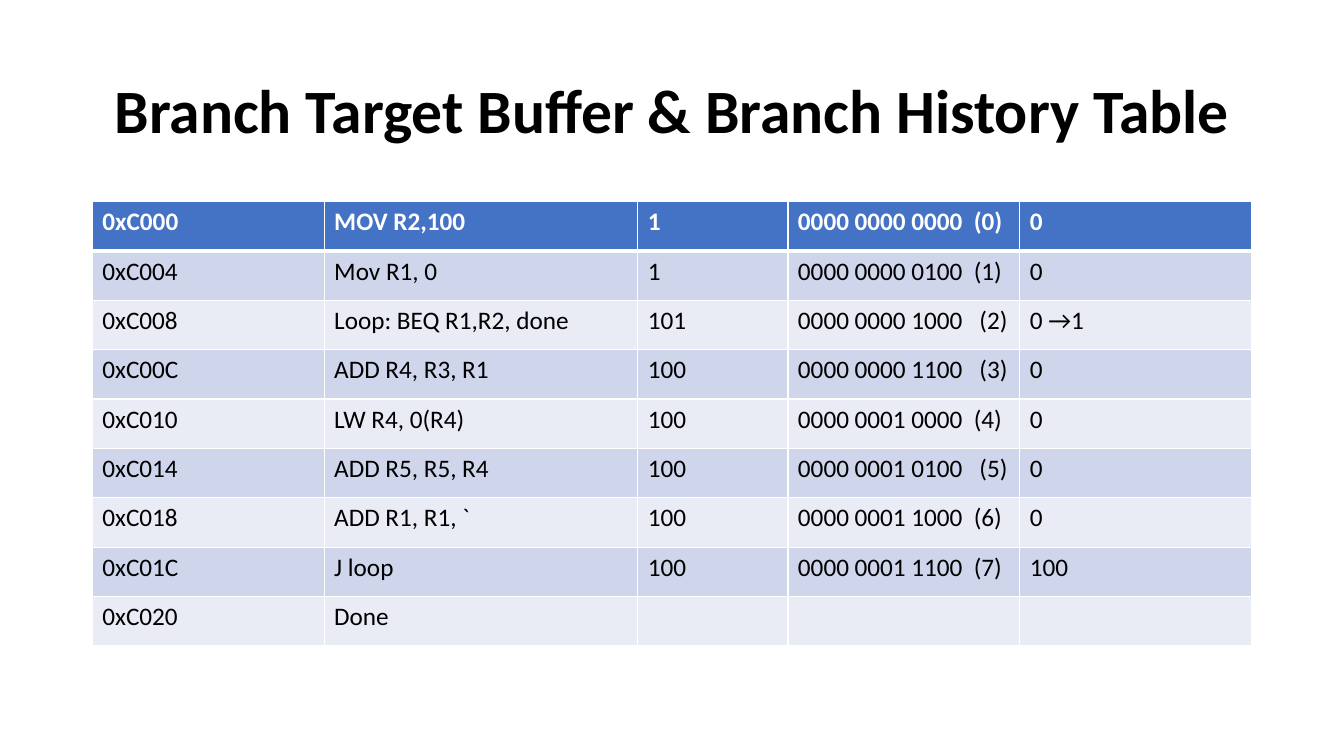
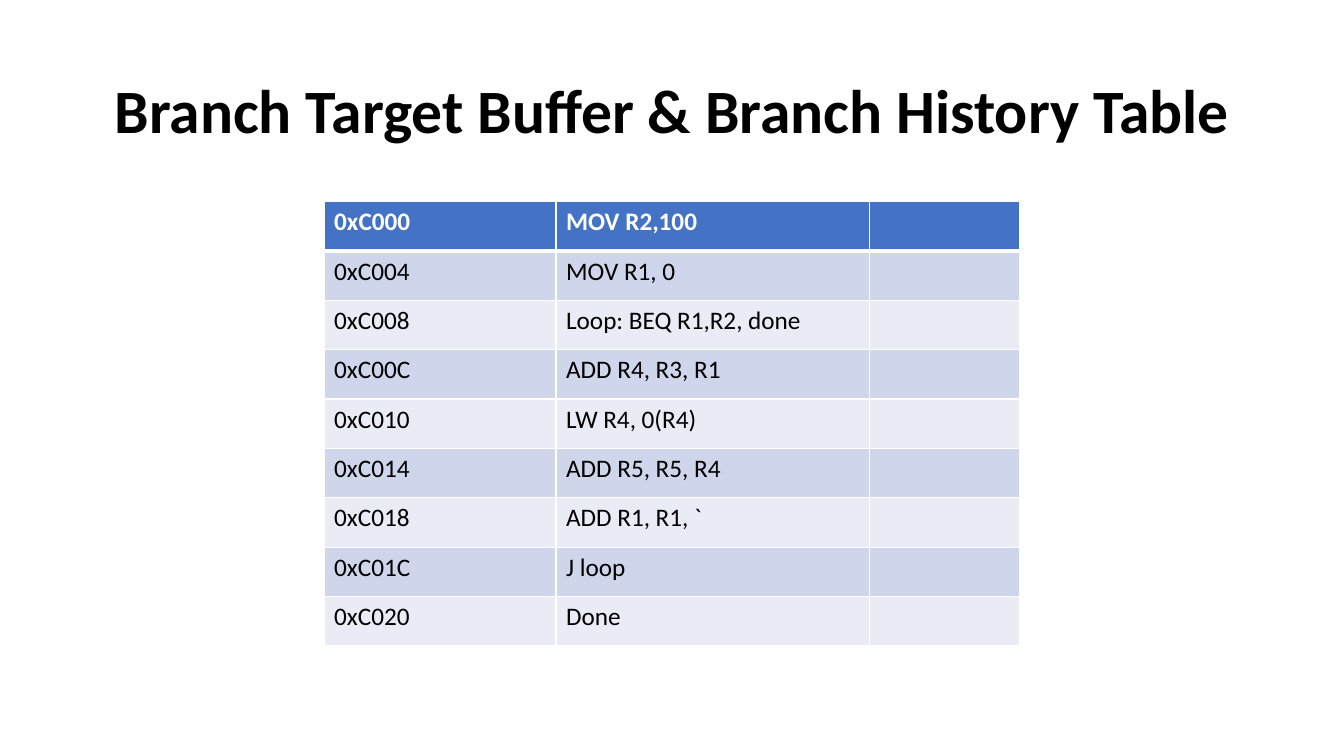
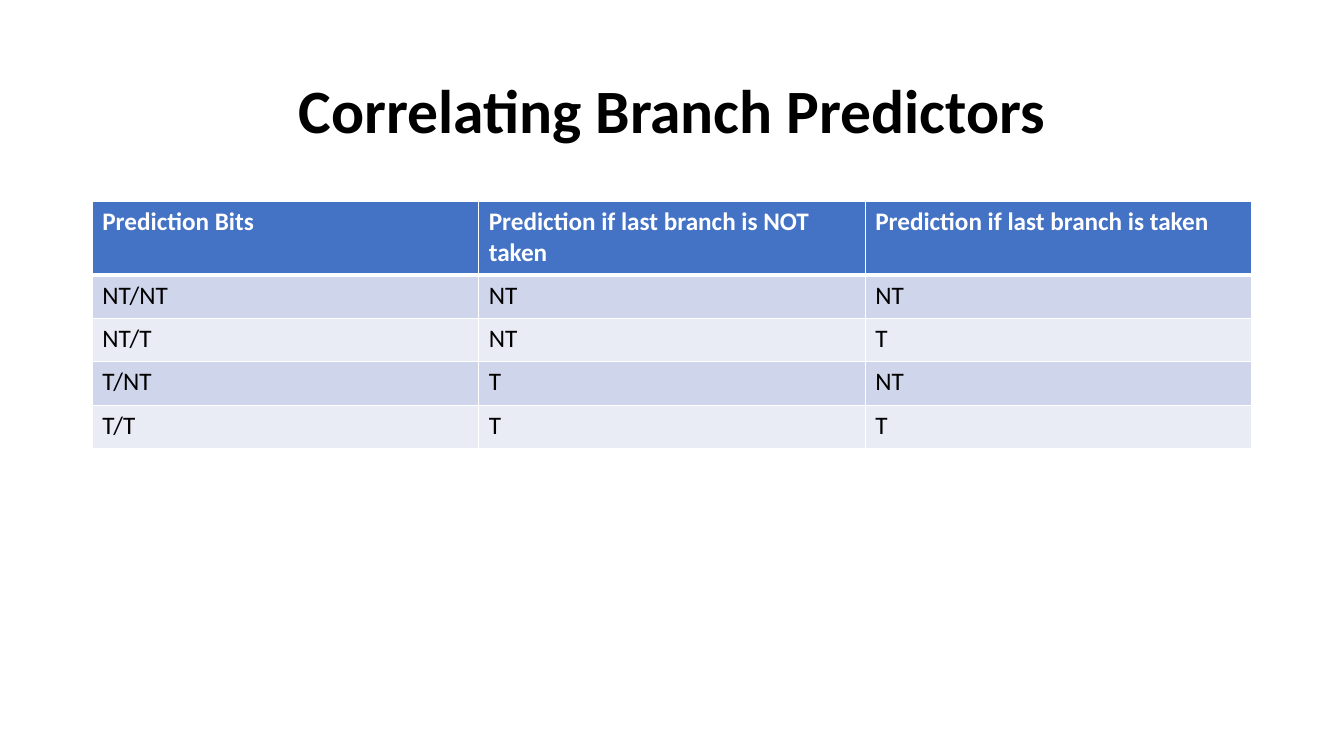
from pptx import Presentation
from pptx.dml.color import RGBColor
from pptx.enum.text import MSO_ANCHOR, PP_ALIGN
from pptx.oxml.ns import qn
from pptx.util import Inches, Pt
from lxml.etree import SubElement

WHITE = RGBColor(0xFF, 0xFF, 0xFF)
BLACK = RGBColor(0x00, 0x00, 0x00)
HEADER_BLUE = RGBColor(0x44, 0x72, 0xC4)
BAND_DARK = RGBColor(0xCF, 0xD5, 0xEA)
BAND_LIGHT = RGBColor(0xE9, 0xEB, 0xF5)

TITLE_FONT = {"name": "Calibri", "size": Pt(44), "bold": True}
HEADER_FONT = {"name": "Calibri", "size": Pt(18), "bold": True}
BODY_FONT = {"name": "Calibri", "size": Pt(18), "bold": False}

SLIDE_WIDTH = 13.33
TITLE_PLACE = {"left": Inches(0.92), "top": Inches(0.4),
               "width": Inches(11.5), "height": Inches(1.45)}
TABLE_TOP = 2
THIN, THICK = Pt(1), Pt(3)

BUFFER_TITLE = "Branch Target Buffer & Branch History Table"
HISTORY = [
    ("0xC000", "MOV R2,100", "1", "0000 0000 0000  (0)", "0"),
    ("0xC004", "Mov R1, 0", "1", "0000 0000 0100  (1)", "0"),
    ("0xC008", "Loop: BEQ R1,R2, done", "101", "0000 0000 1000   (2)", "0 →1"),
    ("0xC00C", "ADD R4, R3, R1", "100", "0000 0000 1100   (3)", "0"),
    ("0xC010", "LW R4, 0(R4)", "100", "0000 0001 0000  (4)", "0"),
    ("0xC014", "ADD R5, R5, R4", "100", "0000 0001 0100   (5)", "0"),
    ("0xC018", "ADD R1, R1, `", "100", "0000 0001 1000  (6)", "0"),
    ("0xC01C", "J loop", "100", "0000 0001 1100  (7)", "100"),
    ("0xC020", "Done", "", "", ""),
]
PROGRAM = [(address, instruction.replace("Mov", "MOV"), "")
           for address, instruction, *_ in HISTORY]
PREDICTORS = [
    ("Prediction Bits", "Prediction if last branch is NOT taken",
     "Prediction if last branch is taken"),
    ("NT/NT", "NT", "NT"),
    ("NT/T", "NT", "T"),
    ("T/NT", "T", "NT"),
    ("T/T", "T", "T"),
]

PAGES = [
    {"title": BUFFER_TITLE, "rows": HISTORY, "columns": [2.3, 3.11, 1.49, 2.3, 2.3],
     "header_height": 0.487, "row_height": 0.487},
    {"title": BUFFER_TITLE, "rows": PROGRAM, "columns": [2.3, 3.11, 1.49],
     "header_height": 0.487, "row_height": 0.487},
    {"title": "Correlating Branch Predictors", "rows": PREDICTORS,
     "columns": [11.5 / 3] * 3, "header_height": 0.73, "row_height": 0.427},
]
for layout_values in PAGES:
    for key in ("header_height", "row_height"):
        layout_values[key] = round(layout_values[key], 2)


def set_values(target, values):
    for name, value in values.items():
        setattr(target, name, value)


def write(frame, text, font_values, color):
    frame.text = text
    for span in frame.paragraphs[0].runs:
        set_values(span.font, font_values)
        span.font.color.rgb = color


def add_title(page, text):
    title = page.shapes.title
    write(title.text_frame, text, TITLE_FONT, BLACK)
    title.text_frame.vertical_anchor = MSO_ANCHOR.MIDDLE
    set_values(title.text_frame.paragraphs[0],
               {"alignment": PP_ALIGN.CENTER, "line_spacing": 0.9})


def add_borders(cell, row_number):
    widths = {"a:lnL": THIN, "a:lnR": THIN,
              "a:lnT": THICK if row_number == 1 else THIN,
              "a:lnB": THICK if row_number == 0 else THIN}
    properties = cell._tc.get_or_add_tcPr()
    for tag, width in widths.items():
        line = SubElement(properties, qn(tag), w=str(width))
        fill = SubElement(line, qn("a:solidFill"))
        SubElement(fill, qn("a:srgbClr"), val=str(WHITE))


def add_grid(page, rows, columns, header_height, row_height):
    width = sum(columns)
    height = header_height + row_height * (len(rows) - 1)
    table = page.shapes.add_table(
        len(rows), len(columns), Inches((SLIDE_WIDTH - width) / 2),
        Inches(TABLE_TOP), Inches(width), Inches(height)).table
    for column, column_width in zip(table.columns, columns):
        column.width = Inches(column_width)
    for row_number, texts in enumerate(rows):
        is_header = row_number == 0
        table.rows[row_number].height = Inches(header_height if is_header else row_height)
        band = HEADER_BLUE if is_header else (BAND_LIGHT, BAND_DARK)[row_number % 2]
        for cell, text in zip(table.rows[row_number].cells, texts):
            write(cell.text_frame, text, HEADER_FONT if is_header else BODY_FONT,
                  WHITE if is_header else BLACK)
            add_borders(cell, row_number)
            cell.fill.solid()
            cell.fill.fore_color.rgb = band


def main():
    deck = Presentation()
    deck.slide_width, deck.slide_height = Inches(SLIDE_WIDTH), Inches(7.5)
    layout = deck.slide_layouts[5]
    set_values(layout.placeholders[0], TITLE_PLACE)
    for content in PAGES:
        page = deck.slides.add_slide(layout)
        add_title(page, content["title"])
        add_grid(page, content["rows"], content["columns"],
                 content["header_height"], content["row_height"])
    deck.save("out.pptx")


if __name__ == "__main__":
    main()
